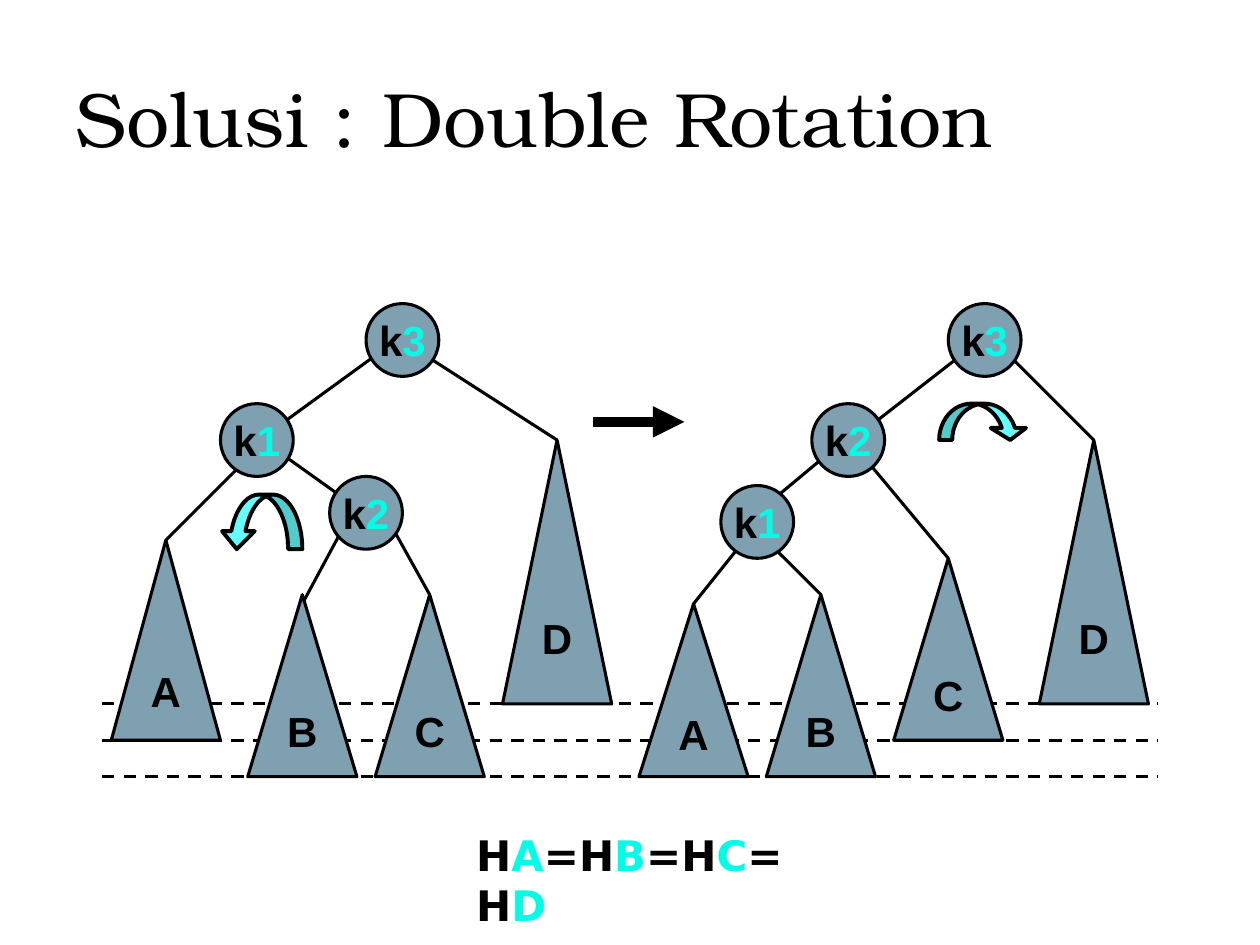
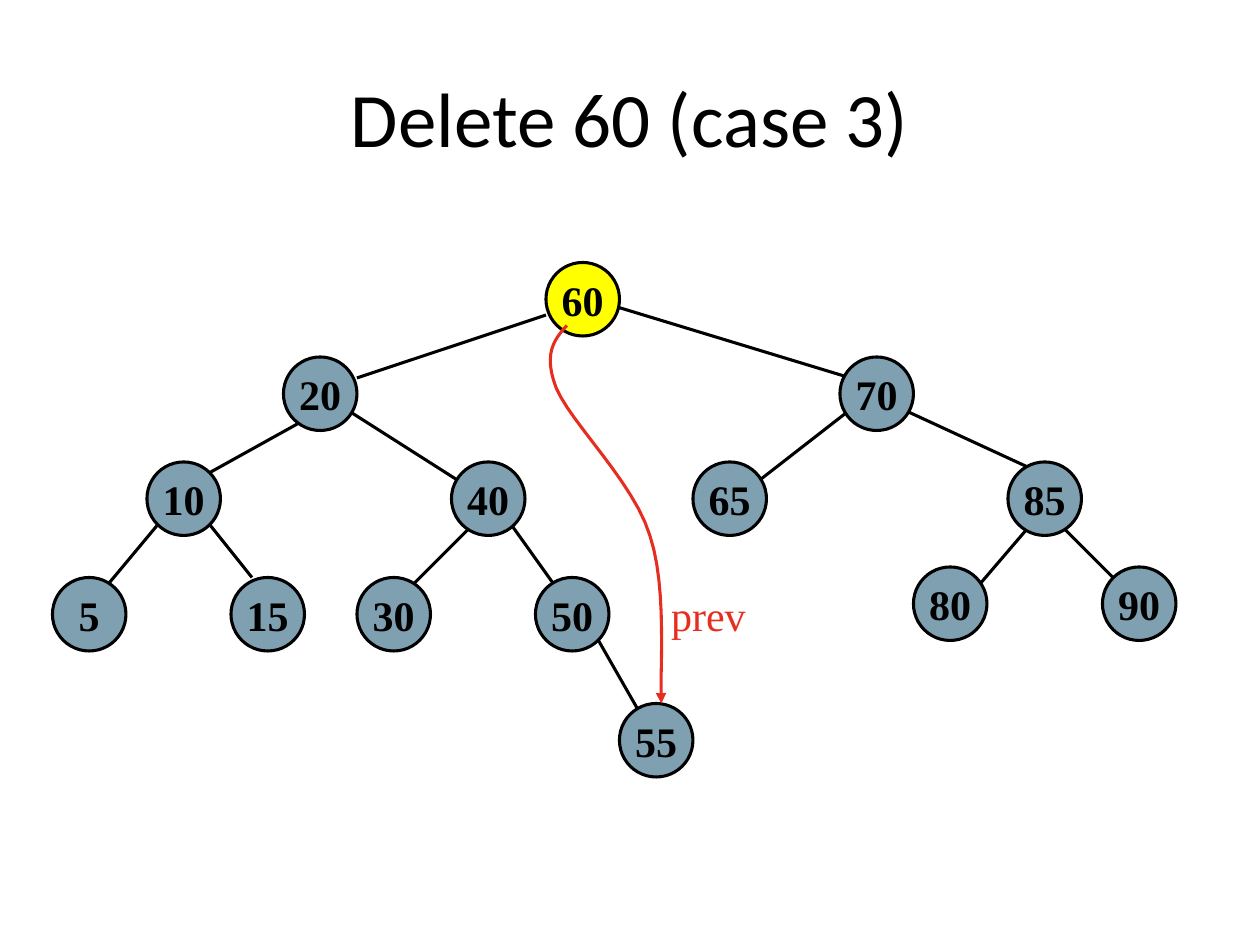
from dataclasses import dataclass

from lxml.etree import SubElement
from pptx import Presentation
from pptx.dml.color import RGBColor
from pptx.enum.dml import MSO_LINE_DASH_STYLE as Dash
from pptx.enum.shapes import MSO_CONNECTOR as Connector
from pptx.enum.shapes import MSO_SHAPE as Shape
from pptx.enum.text import MSO_ANCHOR as Anchor
from pptx.enum.text import PP_ALIGN as Align
from pptx.oxml.ns import qn
from pptx.util import Cm, Pt


@dataclass(frozen=True)
class Theme:
    ink: RGBColor = RGBColor(0x00, 0x00, 0x00)
    node: RGBColor = RGBColor(0x7F, 0xA0, 0xB1)
    index: RGBColor = RGBColor(0x00, 0xFE, 0xE7)
    turn: RGBColor = RGBColor(0x66, 0xFF, 0xFF)
    deleted: RGBColor = RGBColor(0xFF, 0xFF, 0x00)
    prev: RGBColor = RGBColor(0xE6, 0x2E, 0x20)
    title_size: Pt = Pt(44)
    text_size: Pt = Pt(24)
    edge: Pt = Pt(1.75)
    turn_edge: Pt = Pt(2.25)
    move_edge: Pt = Pt(6)


@dataclass(frozen=True)
class Grid:
    """Left and top of cell (0, 0) and the cell size, in centimetres."""
    left: float
    top: float
    cell: float


def grid_point(grid, col, row):
    return Cm(grid.left + col * grid.cell), Cm(grid.top + row * grid.cell)


def add_runs(frame, runs, font, size, bold=True, align=Align.LEFT):
    paragraph = frame.paragraphs[0]
    paragraph.alignment = align
    for text, color in runs:
        run = paragraph.add_run()
        run.text = text
        run.font.name = font
        run.font.size = size
        run.font.bold = bold
        run.font.color.rgb = color


theme = Theme()
rotation_grid = Grid(2.06, 6.12, 0.1834)
delete_grid = Grid(0, 0, 25.4 / 120)

# Rotation: subtrees hang from (column, row) and stand on one of the floors.
floors = (44, 48, 52)
subtrees = [
    ("A", 1, 26, 48), ("B", 16, 32, 52), ("C", 30, 32, 52), ("D", 44, 15, 44),
    ("A", 59, 33, 52), ("B", 73, 32, 52), ("C", 87, 28, 48), ("D", 103, 15, 44),
]
keys = [
    ("3", 29, 0), ("1", 13, 11), ("2", 25, 19),
    ("3", 93, 0), ("2", 78, 11), ("1", 68, 20),
]
rotation_edges = [
    (20, 13, 31, 5), (26, 21, 19, 16), (36, 6, 50, 15),
    (31, 23, 36, 32), (7, 26, 15, 18), (27, 23.7, 22, 33),
    (85, 13, 94, 6), (93, 28, 83, 16), (99, 5, 109, 15),
    (72, 25, 79, 32), (65, 33, 73, 23), (84, 13, 72, 23),
]
rotation_nodes = [
    (Shape.ISOSCELES_TRIANGLE, col, row, 12, floor - row, [(name, theme.ink)], theme.node)
    for name, col, row, floor in subtrees
] + [
    (Shape.OVAL, col, row, 8, 8, [("k", theme.ink), (number, theme.index)], theme.node)
    for number, col, row in keys
]

# Deletion: each key sits in a circle of seven cells.
values = [
    (60, 52, 25), (20, 27, 34), (70, 80, 34), (10, 14, 44), (40, 43, 44),
    (65, 66, 44), (85, 96, 44), (5, 5, 55), (15, 22, 55), (30, 34, 55),
    (50, 51, 55), (80, 87, 54), (90, 105, 54), (55, 59, 67),
]
delete_edges = [
    (52, 30, 34, 36), (29, 40, 20, 45), (15, 50, 10, 56), (20, 50, 24, 55),
    (33, 39, 44, 46), (45, 50, 39, 56), (48, 49, 53, 56), (57, 61, 61, 68),
    (81, 39, 72, 46), (86, 39, 99, 45), (99, 49, 93, 56), (101, 50, 107, 56),
    (58, 29, 81, 36),
]
delete_nodes = [
    (Shape.OVAL, col, row, 7, 7, [(str(value), theme.ink)],
     theme.deleted if value == 60 else theme.node)
    for value, col, row in values
]

rotation_lines = [(*edge, theme.edge, None) for edge in rotation_edges]
rotation_lines += [(0, floor, 116, floor, theme.edge, Dash.DASH) for floor in floors]
rotation_lines.append((54, 13, 64, 13, theme.move_edge, None))
delete_lines = [(*edge, theme.edge, None) for edge in delete_edges]

pages = [
    ("Solusi : Double Rotation", "TeX Gyre Bonum", Align.LEFT,
     rotation_grid, rotation_lines, rotation_nodes, "Arial"),
    ("Delete 60 (case 3)", "Calibri", Align.CENTER,
     delete_grid, delete_lines, delete_nodes, "Times New Roman"),
]

deck = Presentation()
deck.slide_width, deck.slide_height = Cm(25.4), Cm(19.05)
slides = []
arrows = []

for heading, heading_font, align, grid, lines, nodes, node_font in pages:
    slide = deck.slides.add_slide(deck.slide_layouts[5])
    slides.append(slide)
    title = slide.shapes.title
    title.left, title.top = Cm(1.27), Cm(0.76)
    title.width, title.height = Cm(22.86), Cm(3.18)
    title.text_frame.vertical_anchor = Anchor.MIDDLE
    add_runs(title.text_frame, [(heading, theme.ink)], heading_font,
             theme.title_size, False, align)

    for col, row, end_col, end_row, width, dash in lines:
        line = slide.shapes.add_connector(
            Connector.STRAIGHT, *grid_point(grid, col, row),
            *grid_point(grid, end_col, end_row))
        line.line.color.rgb = theme.ink
        line.line.width = width
        if dash:
            line.line.dash_style = dash
        SubElement(line._element.spPr, qn("a:effectLst"))
        if width == theme.move_edge:
            arrows.append(line)

    for kind, col, row, width, height, label, fill in nodes:
        node = slide.shapes.add_shape(
            kind, *grid_point(grid, col, row),
            Cm(width * grid.cell), Cm(height * grid.cell))
        node.shadow.inherit = False
        node.fill.solid()
        node.fill.fore_color.rgb = fill
        node.line.color.rgb = theme.ink
        node.line.width = theme.edge
        node.text_frame.word_wrap = False
        node.text_frame.vertical_anchor = Anchor.MIDDLE
        add_runs(node.text_frame, label, node_font, theme.text_size, align=Align.CENTER)

rotation, deletion = slides

# Turn arrows: place, size, then shaft, head width and head length.
turns = [
    (13, 21, 9, 6, (0.26, 0.6, 0.33), True),
    (92, 11, 9.75, 4, (0.36, 0.97, 0.33), False),
]
for col, row, width, height, proportions, leftward in turns:
    turn = rotation.shapes.add_shape(
        Shape.CURVED_DOWN_ARROW, *grid_point(rotation_grid, col, row),
        Cm(width * rotation_grid.cell), Cm(height * rotation_grid.cell))
    for position, proportion in enumerate(proportions):
        turn.adjustments[position] = proportion
    if leftward:
        turn._element.spPr.find(qn("a:xfrm")).set("flipH", "1")
    turn.shadow.inherit = False
    turn.fill.solid()
    turn.fill.fore_color.rgb = theme.turn
    turn.line.color.rgb = theme.ink
    turn.line.width = theme.turn_edge

heights = rotation.shapes.add_textbox(Cm(9.35), Cm(16.59), Cm(6.86), Cm(2.29))
heights.text_frame.word_wrap = True
equation = []
for lead, subtree in zip(("H", "=H", "=H", "=H"), "ABCD"):
    equation += [(lead, theme.ink), (subtree, theme.index)]
add_runs(heights.text_frame, equation, "DejaVu Sans", theme.text_size)

# The prev pointer runs along three Bézier curves, each given by its last three points.
start = (54, 31)
curves = [
    ((52.8, 32.3), (51.7, 33.7), (53, 37)),
    ((54.4, 40.3), (60.4, 46), (61.9, 51)),
    ((63.6, 56), (62.8, 64.3), (63, 67)),
]
steps = 12
outline = deletion.shapes.build_freeform(*grid_point(delete_grid, *start))
for first, second, end in curves:
    bends = []
    for step in range(1, steps + 1):
        t = step / steps
        weights = ((1 - t) ** 3, 3 * t * (1 - t) ** 2, 3 * t * t * (1 - t), t ** 3)
        col, row = (
            sum(weight * place for weight, place in zip(weights, axis))
            for axis in zip(start, first, second, end))
        bends.append(grid_point(delete_grid, col, row))
    outline.add_line_segments(bends, close=False)
    start = end
pointer = outline.convert_to_shape()
pointer.shadow.inherit = False
pointer.fill.background()
pointer.line.color.rgb = theme.prev
pointer.line.width = theme.edge
arrows.append(pointer)

prev_label = deletion.shapes.add_textbox(Cm(13.28), Cm(11.76), Cm(2.01), Cm(1.27))
prev_label.text_frame.word_wrap = False
add_runs(prev_label.text_frame, [("prev", theme.prev)], "Times New Roman",
         theme.text_size, False)

for arrow in arrows:
    SubElement(arrow._element.spPr.find(qn("a:ln")), qn("a:tailEnd"), type="triangle")

deck.save("out.pptx")
